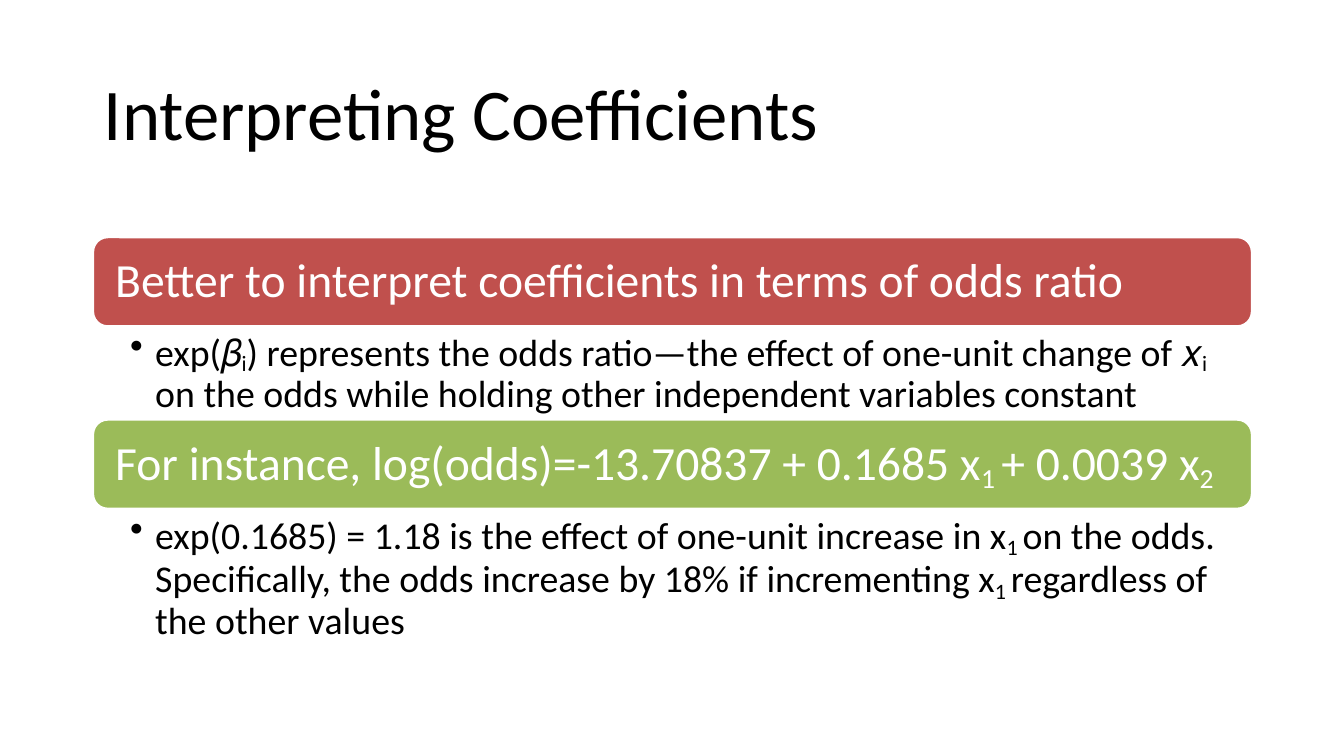
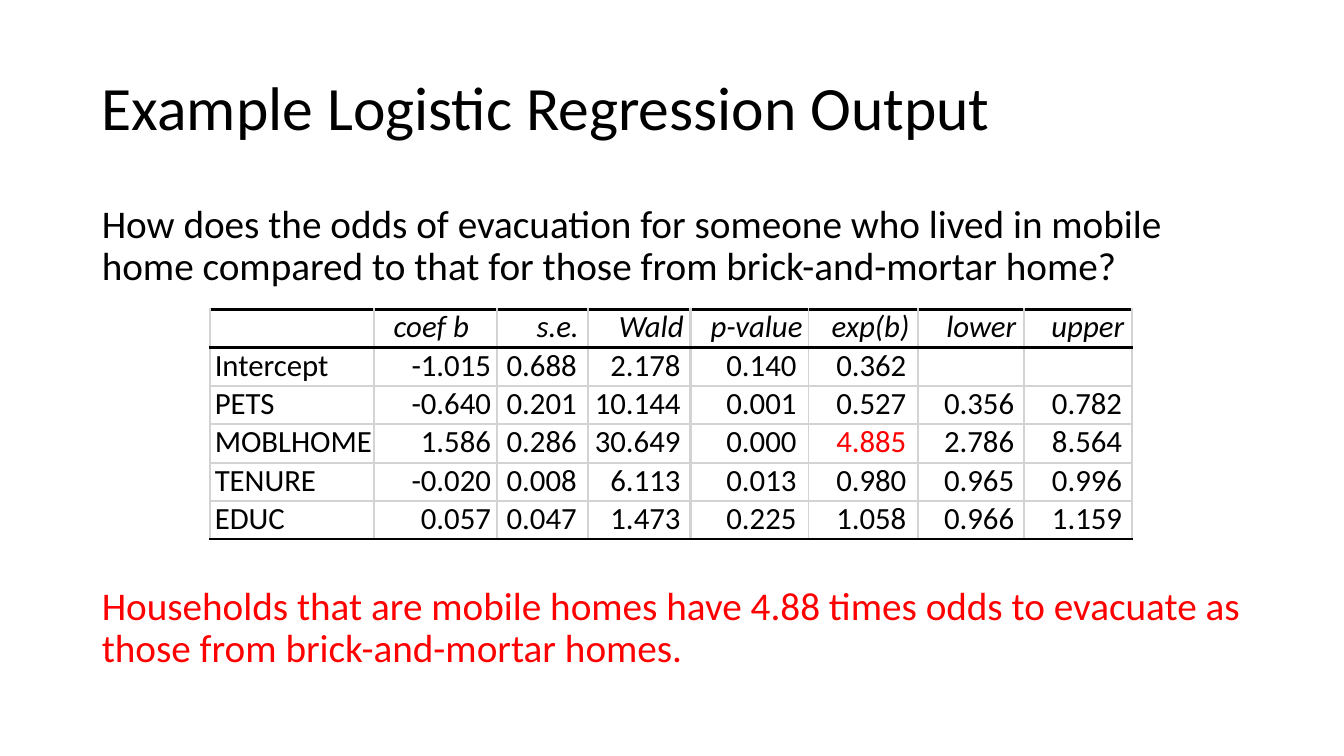
from pptx import Presentation
from pptx.dml.color import RGBColor
from pptx.enum.shapes import MSO_SHAPE
from pptx.enum.text import MSO_ANCHOR, PP_ALIGN
from pptx.oxml.ns import qn
from pptx.util import Inches, Pt
from lxml import etree

ROUND = MSO_SHAPE.ROUNDED_RECTANGLE
TOP, MIDDLE = MSO_ANCHOR.TOP, MSO_ANCHOR.MIDDLE
LEFT, RIGHT = PP_ALIGN.LEFT, PP_ALIGN.RIGHT

# Shared style
FONT = "Calibri"
BLACK, WHITE, RED, GREEN = "000000", "FFFFFF", "C0504D", "9BBB59"
ALERT, GRID = "FF0000", "D3D3D3"

# Slide 1: each run is (text, baseline shift in percent)
BAND_X, BAND_Y, BAND_W, BAND_H = 0.92, 2.35, 11.5, 0.89
BANDS = [
    (RED, 0.92,
     [("Better to interpret coefficients in terms of odds ratio", 0)],
     [("exp(𝛽", 0), ("i", -15),
      (") represents the odds ratio—the effect of one-unit change of 𝑥", 0),
      ("i ", -15),
      ("on the odds while holding other independent variables constant", 0)]),
    (GREEN, 1.35,
     [("For instance, log(odds)=-13.70837 + 0.1685 x", 0), ("1 ", -17),
      ("+ 0.0039 x", 0), ("2", -17)],
     [("exp(0.1685) = 1.18 is the effect of one-unit increase in x", 0),
      ("1 ", -17),
      ("on the odds. Specifically, the odds increase by 18% "
       "if incrementing x", 0),
      ("1 ", -17), ("regardless of the other values", 0)]),
]

# Slide 2: notes are (top, width, colour, text)
NOTES = [
    (1.96, 10.6, BLACK,
     "How does the odds of evacuation for someone who lived in mobile "
     "home compared to that for those from brick-and-mortar home?"),
    (5.75, 11.4, ALERT,
     "Households that are mobile homes have 4.88 times odds to evacuate as "
     "those from brick-and-mortar homes."),
]
ROWS = [
    ("", "coef b", "s.e.", "Wald", "p-value", "exp(b)", "lower", "upper"),
    ("Intercept", "-1.015", "0.688", "2.178", "0.140", "0.362", "", ""),
    ("PETS", "-0.640", "0.201", "10.144", "0.001", "0.527", "0.356", "0.782"),
    ("MOBLHOME", "1.586", "0.286", "30.649", "0.000", "4.885", "2.786",
     "8.564"),
    ("TENURE", "-0.020", "0.008", "6.113", "0.013", "0.980", "0.965", "0.996"),
    ("EDUC", "0.057", "0.047", "1.473", "0.225", "1.058", "0.966", "1.159"),
]
COLS = [1.63, 1.22, 0.9, 1.02, 1.17, 1.09, 1.05, 1.07]
HEAD_GAPS = [0, 0.28, 0.09, 0.07, 0.06, 0.09, 0.08, 0.08]
BODY_GAPS = [0, 0.06, 0.11, 0.1, 0.12, 0.12, 0.1, 0.1]
ROW_H = 0.38
KEY = (3, 5)


def rgb(code):
    return RGBColor.from_string(code)


def write(para, runs, size, color, italic=False):
    for text, shift in runs:
        run = para.add_run()
        run.text = text
        font = run.font
        font.name, font.size, font.italic = FONT, Pt(size), italic
        font.color.rgb = rgb(color)
        if shift:
            run._r.get_or_add_rPr().set("baseline", str(shift * 1000))


def setup(frame, pads, anchor=TOP):
    """Set insets in the order left, top, right, bottom."""
    frame.word_wrap = True
    frame.vertical_anchor = anchor
    (frame.margin_left, frame.margin_top,
     frame.margin_right, frame.margin_bottom) = map(Inches, pads)
    para = frame.paragraphs[0]
    para.alignment = LEFT
    return para


def add_text(slide, box, pads, runs, size, color, space=1.0, bullet=False):
    shape = slide.shapes.add_textbox(*map(Inches, box))
    para = setup(shape.text_frame, pads)
    para.line_spacing = space
    if bullet:
        props = para._p.get_or_add_pPr()
        props.set("marL", str(Inches(0.25)))
        props.set("indent", str(-Inches(0.25)))
        etree.SubElement(props, qn("a:buChar")).set("char", "•")
    write(para, runs, size, color)


def add_band(slide, y, color, runs):
    shape = slide.shapes.add_shape(
        ROUND, *map(Inches, (BAND_X, y, BAND_W, BAND_H)))
    shape.shadow.inherit = False
    shape.fill.solid()
    shape.fill.fore_color.rgb = rgb(color)
    shape.line.color.rgb = rgb(WHITE)
    shape.line.width = Pt(2)
    para = setup(shape.text_frame, (0.18, 0.14, 0.18, 0.14), MIDDLE)
    para.line_spacing = 0.9
    write(para, runs, 34, WHITE)


def border(cell, side, color, width):
    line = etree.SubElement(cell._tc.get_or_add_tcPr(), qn("a:ln" + side))
    line.set("w", str(Pt(width)))
    fill = etree.SubElement(line, qn("a:solidFill"))
    etree.SubElement(fill, qn("a:srgbClr")).set("val", color)


def rule(edge):
    """Colour and width of a horizontal table edge, counted from the top."""
    if edge < 2:
        return BLACK, 2.25
    return (BLACK if edge == len(ROWS) else GRID), 1.5


def fill_cell(cell, row, col, text):
    for side, edge in (("L", col), ("R", col + 1)):
        border(cell, side, GRID, 2.25 if edge == 4 else 1.5)
    border(cell, "T", *rule(row))
    border(cell, "B", *rule(row + 1))
    cell.fill.background()
    gap = (BODY_GAPS if row else HEAD_GAPS)[col]
    cell.margin_left = Inches(0 if col else 0.05)
    cell.margin_right = Inches(gap)
    cell.margin_top = cell.margin_bottom = 0
    para = cell.text_frame.paragraphs[0]
    para.alignment = RIGHT if col else LEFT
    para.line_spacing = Pt(26.2)
    if text:
        color = ALERT if (row, col) == KEY else BLACK
        write(para, [(text, 0)], 22, color, italic=row == 0)


def coef_slide(slide):
    add_text(slide, (0.92, 0.61, 11.5, 1.24), (0.11, 0.06, 0.1, 0.05),
             [("Interpreting Coefficients", 0)], 52, BLACK)
    y = BAND_Y
    for color, height, head, body in BANDS:
        add_band(slide, y, color, head)
        y += BAND_H
        add_text(slide, (BAND_X, y, BAND_W, height), (0.37, 0.05, 0.26, 0.05),
                 body, 27, BLACK, 0.9, bullet=True)
        y += height


def output_slide(slide):
    add_text(slide, (1, 0.34, 11.33, 1.41), (0.01, 0.34, 0, 0),
             [("Example Logistic Regression Output", 0)], 44, BLACK)
    for y, width, color, text in NOTES:
        add_text(slide, (1, y, width, 0.91), (0.01, 0.07, 0, 0),
                 [(text, 0)], 28, color, Pt(30))
    # Regression table
    box = (2.08, 3.07, sum(COLS), ROW_H * len(ROWS))
    table = slide.shapes.add_table(
        len(ROWS), len(COLS), *map(Inches, box)).table
    table.first_row = table.horz_banding = False
    for col, width in enumerate(COLS):
        table.columns[col].width = Inches(width)
    for row, texts in enumerate(ROWS):
        table.rows[row].height = Inches(ROW_H)
        for col, text in enumerate(texts):
            fill_cell(table.cell(row, col), row, col, text)


def main():
    deck = Presentation()
    deck.slide_width, deck.slide_height = Inches(13.33), Inches(7.5)
    for build in (coef_slide, output_slide):
        build(deck.slides.add_slide(deck.slide_layouts[6]))
    deck.save("out.pptx")


if __name__ == "__main__":
    main()
